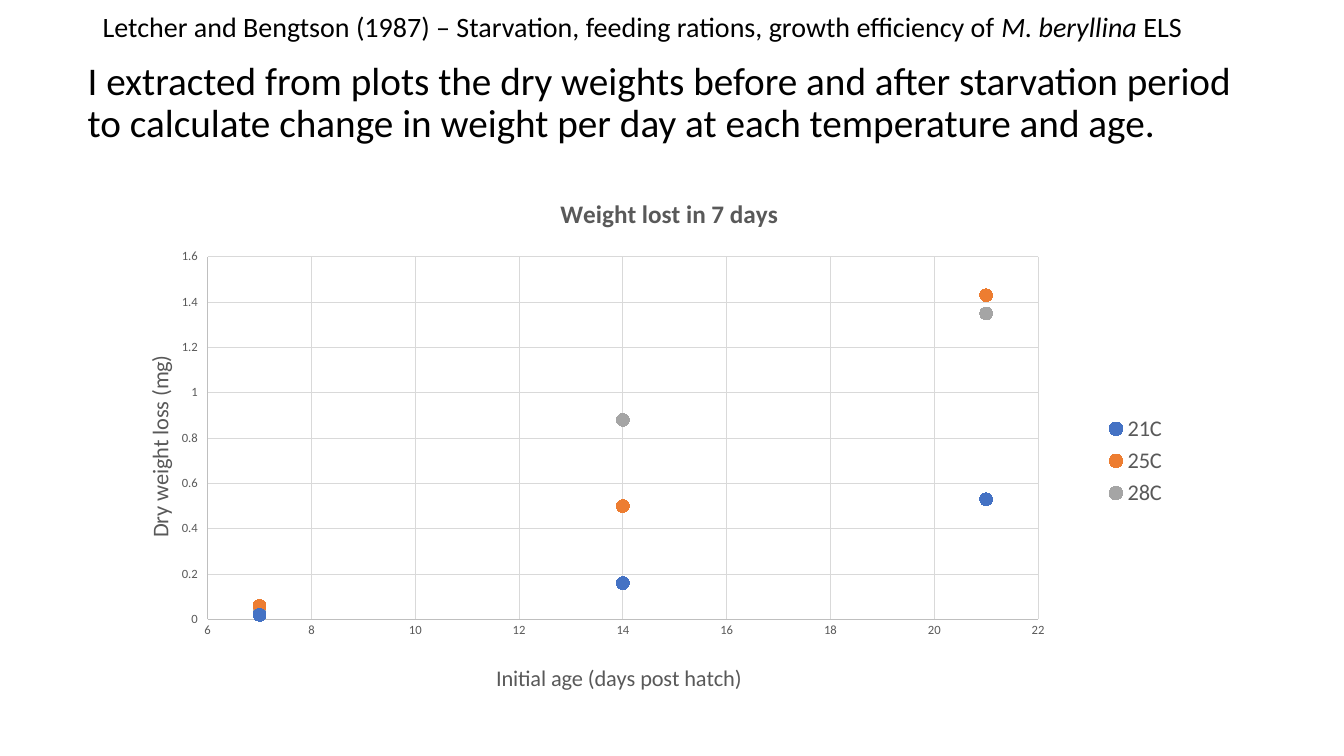
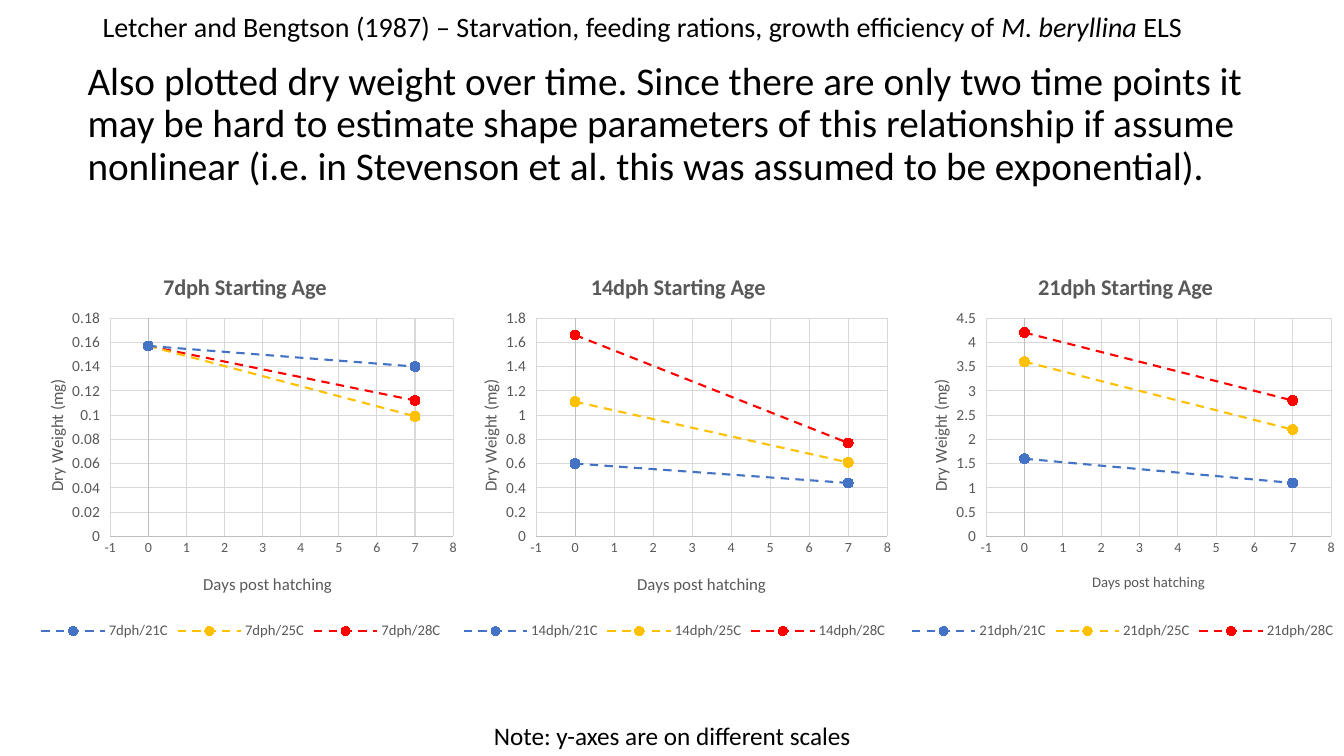
from dataclasses import dataclass

from lxml.etree import SubElement, QName
from pptx import Presentation
from pptx.chart.data import XyChartData
from pptx.dml.color import RGBColor
from pptx.enum.chart import (
    XL_CHART_TYPE as ChartType,
    XL_LEGEND_POSITION as LegendPlace,
    XL_MARKER_STYLE as Marker,
    XL_TICK_LABEL_POSITION as LabelPlace,
    XL_TICK_MARK as TickMark,
)
from pptx.enum.dml import MSO_LINE_DASH_STYLE as Dash
from pptx.enum.text import MSO_ANCHOR as Anchor
from pptx.util import Inches, Pt


@dataclass(frozen=True)
class Theme:
    font: str = "Calibri"
    ink: str = "000000"
    muted: str = "595959"
    axis: str = "BFBFBF"
    grid: str = "D9D9D9"
    groups: tuple = ("4472C4", "ED7D31", "A5A5A5")
    trends: tuple = ("4472C4", "FFC000", "FF0000")
    heading: float = 20
    body: float = 28
    note: float = 18
    hairline: float = 0.75
    trend_line: float = 1.5


@dataclass(frozen=True)
class Box:
    left: float
    top: float
    width: float
    height: float

    def on(self, deck):
        across, down = deck.slide_width / 100, deck.slide_height / 100
        return (int(self.left * across), int(self.top * down),
                int(self.width * across), int(self.height * down))


@dataclass(frozen=True)
class Scale:
    low: float
    high: float
    step: float


@dataclass(frozen=True)
class ChartStyle:
    kind: ChartType
    colors: tuple
    marker: int
    title: float
    axis_title: float
    x_ticks: float
    y_ticks: float
    legend: float
    legend_place: LegendPlace
    dashed: bool


THEME = Theme()
TEMPERATURES = ("21C", "25C", "28C")
HEADING = Box(6.9, 0.1, 86.27, 7.2)
NOTE = Box(36.01, 94.67, 28.43, 5.33)
LOSS_STYLE = ChartStyle(ChartType.XY_SCATTER, THEME.groups, 9, 18, 16, 9, 9, 16,
                        LegendPlace.RIGHT, False)
TREND_STYLE = ChartStyle(ChartType.XY_SCATTER_LINES, THEME.trends, 7, 16, 12, 10, 11, 10.5,
                         LegendPlace.BOTTOM, True)


def style_font(font, size, color, bold=False, italic=False):
    font.name = THEME.font
    font.size = Pt(size)
    font.bold = bold
    font.italic = italic
    font.color.rgb = RGBColor.from_string(color)


def style_line(line, color, width):
    line.color.rgb = RGBColor.from_string(color)
    line.width = Pt(width)


def add_text(deck, page, box, spans, size, anchor=Anchor.TOP, spacing=None, before=0, wrap=True):
    frame = page.shapes.add_textbox(*box.on(deck)).text_frame
    frame.word_wrap = wrap
    frame.vertical_anchor = anchor
    para = frame.paragraphs[0]
    para.line_spacing = spacing
    para.space_before = Pt(before)
    for text, italic in spans:
        span = para.add_run()
        span.text = text
        style_font(span.font, size, THEME.ink, italic=italic)


def add_heading(deck, page):
    spans = (
        ("Letcher and Bengtson (1987) – Starvation, feeding rations, growth efficiency of ", False),
        ("M. beryllina", True),
        (" ELS", False),
    )
    add_text(deck, page, HEADING, spans, THEME.heading, Anchor.MIDDLE, 0.9)


def add_body(deck, page, width, text):
    add_text(deck, page, Box(5.78, 7.47, width, 63.47), ((text, False),), THEME.body,
             spacing=0.9, before=10)


def set_layout(parent, index, left, top, width=None, height=None, inner=False):
    namespace = QName(parent).namespace

    def add(holder, name, value):
        SubElement(holder, QName(namespace, name)).set("val", str(value))

    for old in parent.findall(QName(namespace, "layout")):
        parent.remove(old)
    layout = SubElement(parent, QName(namespace, "layout"))
    parent.insert(index, layout)
    manual = SubElement(layout, QName(namespace, "manualLayout"))
    if inner:
        add(manual, "layoutTarget", "inner")
    add(manual, "xMode", "edge")
    add(manual, "yMode", "edge")
    for name, share in (("x", left), ("y", top), ("w", width), ("h", height)):
        if share is not None:
            add(manual, name, round(share / 100, 4))


def set_title(owner, text, size, spot, bold=False):
    owner.has_title = True if hasattr(owner, "plots") else owner.has_title
    title = owner.chart_title if hasattr(owner, "plots") else owner.axis_title
    span = title.text_frame.paragraphs[0].add_run()
    span.text = text
    style_font(span.font, size, THEME.muted, bold)
    set_layout(title._element, 1, *spot)


def style_axis(axis, scale, tick_size, text, title_size, spot):
    axis.minimum_scale = scale.low
    axis.maximum_scale = scale.high
    axis.major_unit = scale.step
    axis.major_tick_mark = axis.minor_tick_mark = TickMark.NONE
    axis.has_major_gridlines = True
    style_line(axis.major_gridlines.format.line, THEME.grid, THEME.hairline)
    style_line(axis.format.line, THEME.axis, THEME.hairline)
    axis.tick_labels.number_format = "General"
    axis.tick_labels.number_format_is_linked = False
    style_font(axis.tick_labels.font, tick_size, THEME.muted)
    axis.has_title = True
    set_title(axis, text, title_size, spot)


def style_series(series, color, style):
    series.smooth = False
    series.marker.style = Marker.CIRCLE
    series.marker.size = style.marker
    series.marker.format.fill.solid()
    series.marker.format.fill.fore_color.rgb = RGBColor.from_string(color)
    style_line(series.marker.format.line, color, THEME.hairline)
    if style.dashed:
        style_line(series.format.line, color, THEME.trend_line)
        series.format.line.dash_style = Dash.DASH
    else:
        series.format.line.fill.background()


def add_scatter(deck, page, box, style, title, labels, names, xs, rows, scales, spots, x_title=None):
    data = XyChartData()
    for name, values in zip(names, rows):
        series = data.add_series(name)
        for x, y in zip(xs, values):
            series.add_data_point(x, y)
    chart = page.shapes.add_chart(style.kind, *box.on(deck), data).chart
    style_font(chart.font, 10, THEME.ink)
    chart.plots[0].vary_by_categories = False
    set_title(chart, title, style.title, spots["title"], bold=True)
    style_axis(chart.category_axis, scales[0], style.x_ticks, labels[0],
               x_title or style.axis_title, spots["x"])
    style_axis(chart.value_axis, scales[1], style.y_ticks, labels[1],
               style.axis_title, spots["y"])
    chart.value_axis.tick_label_position = LabelPlace.LOW
    for series, color in zip(chart.plots[0].series, style.colors):
        style_series(series, color, style)
    chart.has_legend = True
    chart.legend.position = style.legend_place
    chart.legend.include_in_layout = False
    style_font(chart.legend.font, style.legend, THEME.muted)
    if "legend" in spots:
        set_layout(chart.legend._element, 1, *spots["legend"])
    plot_area = chart.plots[0]._element.getparent()
    set_layout(plot_area, 0, *spots["plot"], inner=True)


def build_loss_page(deck, page):
    add_heading(deck, page)
    add_body(deck, page, 87.32,
             "I extracted from plots the dry weights before and after starvation period "
             "to calculate change in weight per day at each temperature and age.")
    rows = ((0.02, 0.16, 0.53), (0.06, 0.5, 1.43), (0.05, 0.88, 1.35))
    spots = {"title": (39.8, 6.2), "x": (33.8, 89.1), "y": (0.8, 34.5),
             "plot": (7.1, 17.7, 78, 64.5), "legend": (91, 45, 6.5, 18)}
    add_scatter(deck, page, Box(9.83, 20.8, 79.22, 74.4), LOSS_STYLE, "Weight lost in 7 days",
                ("Initial age (days post hatch)", "Dry weight loss (mg)"), TEMPERATURES,
                (7, 14, 21), rows, (Scale(6, 22, 2), Scale(0, 1.6, 0.2)), spots)


def build_trend_page(deck, page):
    add_heading(deck, page)
    add_body(deck, page, 90.85,
             "Also plotted dry weight over time. Since there are only two time points it may be "
             "hard to estimate shape parameters of this relationship if assume nonlinear "
             "(i.e. in Stevenson et al. this was assumed to be exponential).")
    panels = (
        ("7dph", 1.2, 33.46, Scale(0, 0.18, 0.02), (31.8, 40.9, 20.9, 76.3), 12,
         ((0.157, 0.14), (0.157, 0.099), (0.157, 0.112))),
        ("14dph", 33.46, 33.46, Scale(0, 1.8, 0.2), (30.5, 41, 19.2, 78.1), 12,
         ((0.6, 0.44), (1.11, 0.61), (1.66, 0.77))),
        ("21dph", 66.99, 33.08, Scale(0, 4.5, 0.5), (30.1, 42.5, 19.3, 77.6), 10.5,
         ((1.6, 1.1), (3.6, 2.2), (4.2, 2.8))),
    )
    for age, left, width, scale, (title_x, label_x, plot_x, plot_width), x_title, rows in panels:
        spots = {"title": (title_x, 5.3), "x": (label_x, 81.3), "y": (5.8, 32.5),
                 "plot": (plot_x, 17.9, plot_width, 55)}
        add_scatter(deck, page, Box(left, 32.67, width, 52.53), TREND_STYLE,
                    f"{age} Starting Age", ("Days post hatching", "Dry Weight (mg)"),
                    [f"{age}/{temperature}" for temperature in TEMPERATURES],
                    (0, 7), rows, (Scale(-1, 8, 1), scale), spots, x_title)
    add_text(deck, page, NOTE, (("Note: y-axes are on different scales", False),),
             THEME.note, wrap=False)


def main():
    deck = Presentation()
    deck.slide_width = Inches(13.33)
    deck.slide_height = Inches(7.5)
    for build in (build_loss_page, build_trend_page):
        build(deck, deck.slides.add_slide(deck.slide_layouts[6]))
    deck.save("out.pptx")


if __name__ == "__main__":
    main()
